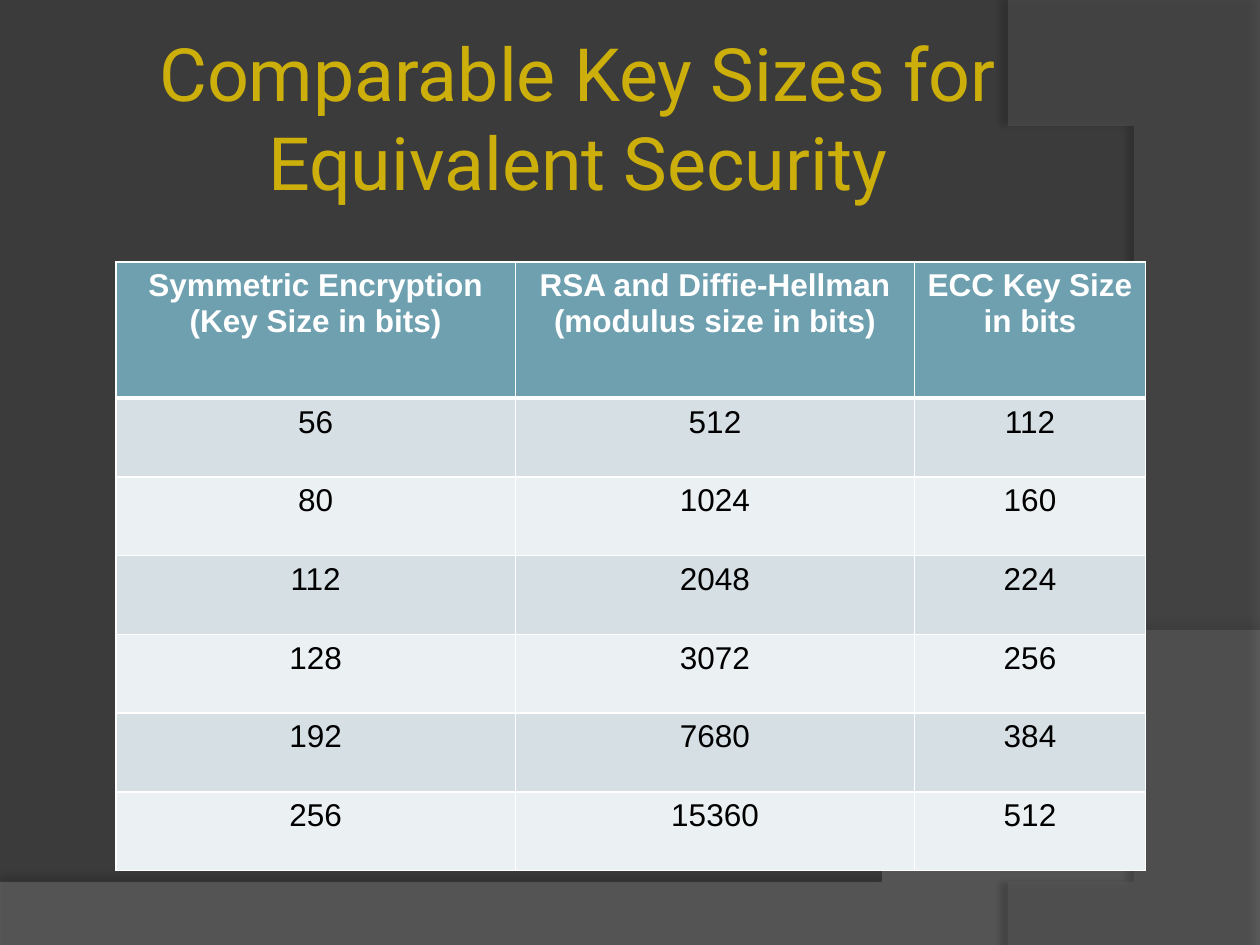
from lxml.etree import SubElement
from pptx import Presentation
from pptx.dml.color import RGBColor
from pptx.enum.text import MSO_ANCHOR, PP_ALIGN
from pptx.oxml.ns import qn
from pptx.util import Inches, Pt

TITLE = "Comparable Key Sizes for Equivalent Security"
HEADER = ("Symmetric Encryption (Key Size in bits)",
          "RSA and Diffie-Hellman (modulus size in bits)",
          "ECC Key Size in bits")
KEY_SIZES = [(56, 512, 112), (80, 1024, 160), (112, 2048, 224),
             (128, 3072, 256), (192, 7680, 384), (256, 15360, 512)]
COLUMN_WIDTHS = (3.17, 3.17, 1.83)
HEADER_HEIGHT, ROW_HEIGHT = 1.08, 0.625
HEADER_FILL, BAND_FILLS = "6EA0B0", ("D5DFE4", "EBF0F2")

# Background waves: corner points, with each curve as a tuple of its controls and end
WAVES = [
    dict(start=(0, 7.05),
         parts=[(0, 7.51), (10, 7.51), (10, 5.2),
                ((5.59, 7.29), (3.91, 7.19), (0, 7.05))],
         fill="7F7F7F", opacity=45, shadow=dict(opacity=35, distance=3.5, angle=270)),
    dict(start=(10, 0.02),
         parts=[(10, 7.5), (8.21, 7.5),
                ((9.35, 6.19), (10.18, 3), (8, 0)), (10, 0.02)],
         fill="5E5E5E", opacity=40, shadow=dict(opacity=45, distance=4, angle=180)),
]


def color(hex_text):
    return RGBColor.from_string(hex_text)


def paint(fill, hex_text):
    fill.solid()
    fill.fore_color.rgb = color(hex_text)


def curve_points(p0, p1, p2, p3, steps=60):
    for step in range(1, steps + 1):
        t = step / steps
        u = 1 - t
        yield tuple(u**3 * a + 3 * u * u * t * b + 3 * u * t * t * c + t**3 * d
                    for a, b, c, d in zip(p0, p1, p2, p3))


def set_alpha(color_element, percent):
    SubElement(color_element, qn("a:alpha"), val=str(percent * 1000))


def add_wave(slide, start, parts, fill, opacity, shadow):
    points = [start]
    for part in parts:
        if isinstance(part[0], tuple):
            points.extend(curve_points(points[-1], *part))
        else:
            points.append(part)
    builder = slide.shapes.build_freeform(*start, scale=Inches(1))
    builder.add_line_segments(points[1:], close=True)
    wave = builder.convert_to_shape()
    paint(wave.fill, fill)
    wave.line.fill.background()
    wave.shadow.inherit = False
    properties = wave.fill._xPr
    set_alpha(properties.find(qn("a:solidFill"))[0], opacity)
    outer = SubElement(properties.find(qn("a:effectLst")), qn("a:outerShdw"),
                       blurRad=str(Pt(4)), dist=str(Pt(shadow["distance"])),
                       dir=str(shadow["angle"] * 60000), algn="ctr", rotWithShape="0")
    set_alpha(SubElement(outer, qn("a:srgbClr"), val="000000"), shadow["opacity"])


def style_text(paragraph, font, size, hex_text, bold=False):
    paragraph.alignment = PP_ALIGN.CENTER
    paragraph.font.name = font
    paragraph.font.size = Pt(size)
    paragraph.font.bold = bold
    paragraph.font.color.rgb = color(hex_text)


def add_borders(cell, widths):
    properties = cell._tc.get_or_add_tcPr()
    for index, (side, width) in enumerate(widths.items()):
        border = properties.makeelement(qn(f"a:ln{side}"), {"w": str(Pt(width))})
        fill = SubElement(border, qn("a:solidFill"))
        SubElement(fill, qn("a:srgbClr"), val="FFFFFF")
        properties.insert(index, border)


def main():
    deck = Presentation()
    deck.slide_width, deck.slide_height = Inches(10), Inches(7.5)
    slide = deck.slides.add_slide(deck.slide_layouts[6])
    paint(slide.background.fill, "3B3B3B")

    for wave in WAVES:
        add_wave(slide, **wave)

    # Title
    title = slide.shapes.add_textbox(Inches(0.5), Inches(0.3), Inches(8.17), Inches(1.25))
    frame = title.text_frame
    frame.word_wrap = True
    frame.vertical_anchor = MSO_ANCHOR.MIDDLE
    frame.margin_left = frame.margin_right = Inches(0.05)
    frame.margin_top = frame.margin_bottom = Inches(0.05)
    frame.text = TITLE
    style_text(frame.paragraphs[0], "Roboto", 42, "CCAF0A")

    # Key size table
    rows = [HEADER, *KEY_SIZES]
    heights = [HEADER_HEIGHT] + [ROW_HEIGHT] * len(KEY_SIZES)
    table = slide.shapes.add_table(
        len(rows), len(HEADER), Inches(0.92), Inches(2.08),
        Inches(sum(COLUMN_WIDTHS)), Inches(sum(heights))).table
    for column, width in zip(table.columns, COLUMN_WIDTHS):
        column.width = Inches(width)
    for r, (values, height) in enumerate(zip(rows, heights)):
        table.rows[r].height = Inches(height)
        is_header = r == 0
        for c, value in enumerate(values):
            cell = table.cell(r, c)
            cell.text = str(value)
            cell.margin_left = cell.margin_right = Inches(0.09)
            style_text(cell.text_frame.paragraphs[0], "Arial", 18,
                       "FFFFFF" if is_header else "000000", is_header)
            paint(cell.fill, HEADER_FILL if is_header else BAND_FILLS[(r - 1) % 2])
            add_borders(cell, {"L": 1, "R": 1, "T": 3 if r == 1 else 1,
                               "B": 3 if is_header else 1})

    deck.save("out.pptx")


if __name__ == "__main__":
    main()
